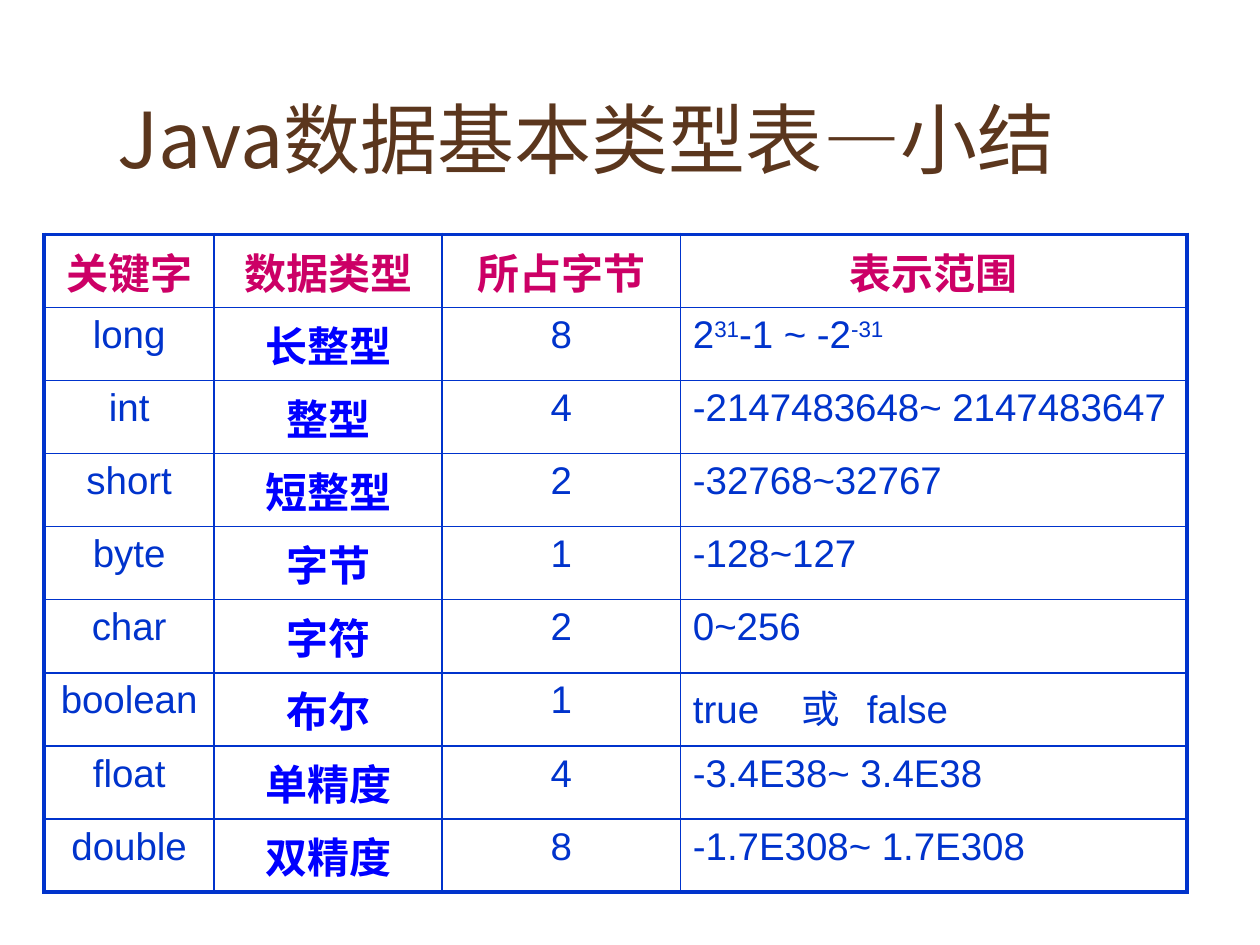
from lxml import etree
from pptx import Presentation
from pptx.dml.color import RGBColor
from pptx.enum.text import MSO_ANCHOR, MSO_AUTO_SIZE, PP_ALIGN
from pptx.oxml.ns import qn
from pptx.util import Inches, Pt

LEFT, CENTER = PP_ALIGN.LEFT, PP_ALIGN.CENTER
TOP = MSO_ANCHOR.TOP
GROW = MSO_AUTO_SIZE.SHAPE_TO_FIT_TEXT

COLORS = {"title": "5B361D", "header": "CC0066", "name": "0000FF",
          "body": "0033CC", "border": "0033CC"}
LATIN_FONT, CHINESE_FONT = "Arial", "Noto Sans CJK SC"

COLUMN_WIDTHS = [1.35, 1.81, 1.89, 4.02]
ROW_HEIGHT = 0.58
RANGE_COLUMN = 3
RANGE_TABS = [0.86, 1.38]

HEADERS = ["关键字", "数据类型", "所占字节", "表示范围"]
# A tuple holds runs that alternate between normal and superscript
JAVA_TYPES = [
    ["long", "长整型", "8", ("2", "31", "-1 ~ -2", "-31")],
    ["int", "整型", "4", "-2147483648~ 2147483647"],
    ["short", "短整型", "2", "-32768~32767"],
    ["byte", "字节", "1", "-128~127"],
    ["char", "字符", "2", "0~256"],
    ["boolean", "布尔", "1", "true\t或\tfalse"],
    ["float", "单精度", "4", "-3.4E38~ 3.4E38"],
    ["double", "双精度", "8", "-1.7E308~ 1.7E308"],
]


def format_run(run, size, color, bold=False, latin=LATIN_FONT, chinese=CHINESE_FONT):
    run.font.size = Pt(size)
    run.font.bold = bold
    run.font.color.rgb = RGBColor.from_string(COLORS[color])
    run.font.name = latin
    if chinese:
        east_asian = etree.SubElement(run.font._element, qn("a:ea"))
        east_asian.set("typeface", chinese)


def add_tab_stops(paragraph, positions):
    tab_list = etree.SubElement(paragraph._p.get_or_add_pPr(), qn("a:tabLst"))
    for position in positions:
        etree.SubElement(tab_list, qn("a:tab"), pos=str(Inches(position)), algn="l")


def set_borders(cell, widths):
    """Draw the left, right, top and bottom lines, with widths in points."""
    properties = cell._tc.get_or_add_tcPr()
    for index, (side, width) in enumerate(zip("LRTB", widths)):
        line = etree.Element(qn(f"a:ln{side}"), w=str(Pt(width)))
        fill = etree.SubElement(line, qn("a:solidFill"))
        etree.SubElement(fill, qn("a:srgbClr"), val=COLORS["border"])
        properties.insert(index, line)


def fill_cell(cell, content, row, column):
    paragraph = cell.text_frame.paragraphs[0]
    is_header = row == 0
    paragraph.alignment = LEFT if column == RANGE_COLUMN and not is_header else CENTER
    if "\t" in content:
        add_tab_stops(paragraph, RANGE_TABS)

    if is_header:
        size, color, bold = 24, "header", True
    elif column == 1:
        size, color, bold = 24, "name", True
    else:
        size, color, bold = 22, "body", False

    parts = content if isinstance(content, tuple) else (content,)
    for index, part in enumerate(parts):
        run = paragraph.add_run()
        run.text = part
        format_run(run, size, color, bold)
        if index % 2:
            run.font._element.set("baseline", "30000")


def add_types_table(slide):
    rows = [HEADERS] + JAVA_TYPES
    last_row, last_column = len(rows) - 1, len(HEADERS) - 1
    table = slide.shapes.add_table(
        len(rows), len(HEADERS), Inches(0.35), Inches(1.86),
        Inches(sum(COLUMN_WIDTHS)), Inches(ROW_HEIGHT * len(rows))).table
    table.first_row = table.horz_banding = False
    for column, width in zip(table.columns, COLUMN_WIDTHS):
        column.width = Inches(width)

    for r, contents in enumerate(rows):
        for c, content in enumerate(contents):
            cell = table.cell(r, c)
            cell.fill.background()
            fill_cell(cell, content, r, c)
            # Thick lines on the outside, thin ones inside
            outside = (c == 0, c == last_column, r == 0, r == last_row)
            set_borders(cell, [2.25 if edge else 1 for edge in outside])


def add_title(slide):
    title = slide.shapes.title
    title.left, title.top = Inches(0.83), Inches(0.68)
    title.width, title.height = Inches(8.82), Inches(0.83)
    frame = title.text_frame
    frame.word_wrap = True
    frame.auto_size = GROW
    frame.vertical_anchor = TOP
    paragraph = frame.paragraphs[0]
    paragraph.alignment = LEFT
    for text, latin, chinese in [("Java数据基本类型表", CHINESE_FONT, CHINESE_FONT),
                                 ("—", LATIN_FONT, None),
                                 ("小结", CHINESE_FONT, CHINESE_FONT)]:
        run = paragraph.add_run()
        run.text = text
        format_run(run, 44, "title", latin=latin, chinese=chinese)


def main():
    presentation = Presentation()
    presentation.slide_width, presentation.slide_height = Inches(10), Inches(7.5)
    slide = presentation.slides.add_slide(presentation.slide_layouts[5])
    add_title(slide)
    add_types_table(slide)
    presentation.save("out.pptx")


if __name__ == "__main__":
    main()
